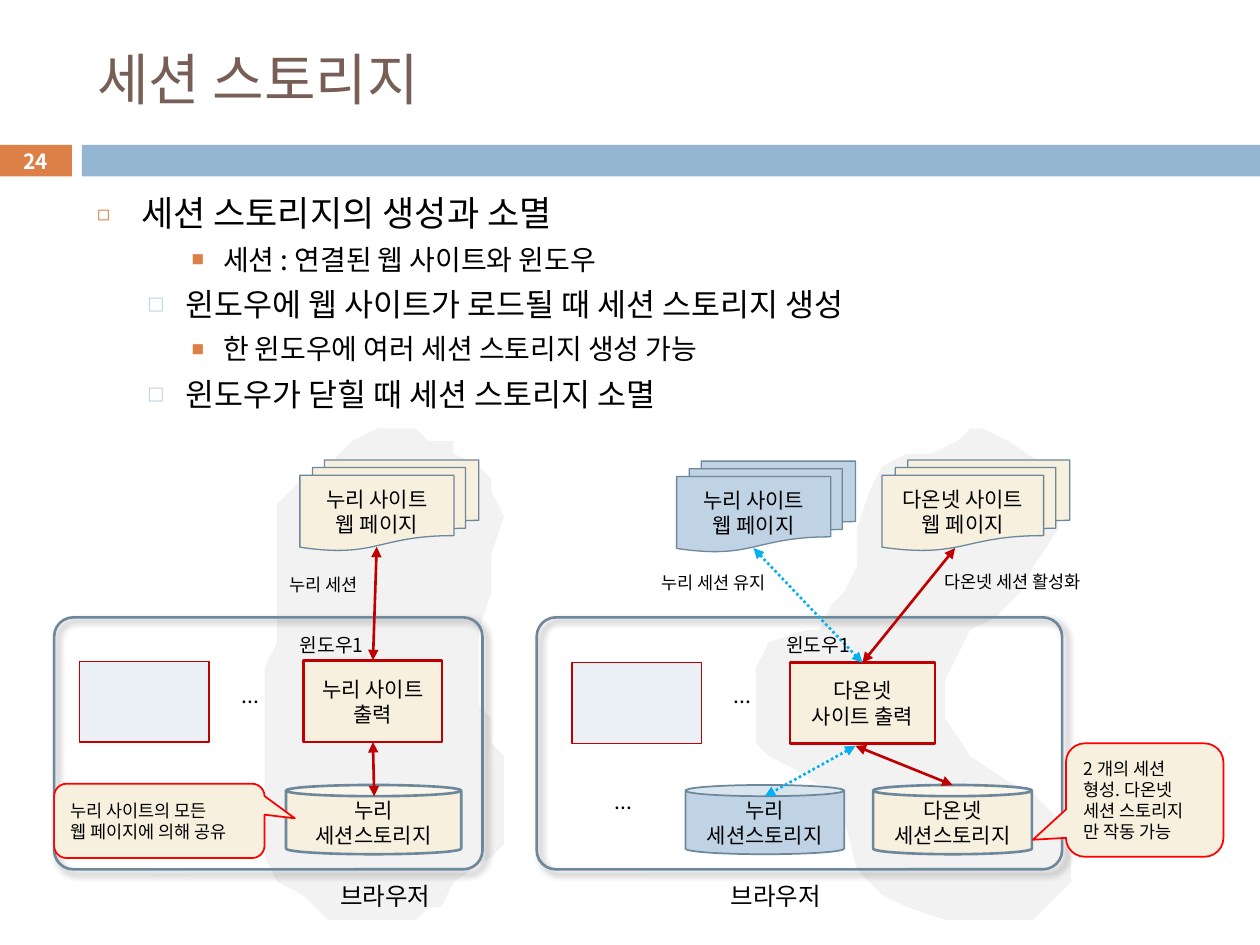
from lxml import etree
from pptx import Presentation
from pptx.dml.color import RGBColor
from pptx.enum.dml import MSO_LINE
from pptx.enum.shapes import MSO_CONNECTOR, MSO_SHAPE
from pptx.enum.text import MSO_ANCHOR, MSO_AUTO_SIZE, PP_ALIGN
from pptx.oxml.ns import qn
from pptx.util import Inches, Pt

CELL = Inches(0.1)
FONT = "Noto Sans CJK KR"
LEFT, CENTER = PP_ALIGN.LEFT, PP_ALIGN.CENTER
TOP, MIDDLE = MSO_ANCHOR.TOP, MSO_ANCHOR.MIDDLE
RECT, ROUND_RECT = MSO_SHAPE.RECTANGLE, MSO_SHAPE.ROUNDED_RECTANGLE
CAN, PAGES = MSO_SHAPE.CAN, MSO_SHAPE.FLOWCHART_MULTIDOCUMENT
CALLOUT = MSO_SHAPE.ROUNDED_RECTANGULAR_CALLOUT
STRAIGHT, DOTTED = MSO_CONNECTOR.STRAIGHT, MSO_LINE.ROUND_DOT
FIXED = MSO_AUTO_SIZE.NONE
TOP_SIDE, BOTTOM_SIDE = 0, 2

ORANGE, SKY, BROWN = "DD8047", "94B6D2", "775F55"
CREAM, BLUE, PALE, GRAY = "F7F0DE", "BFD3E4", "EAF0F6", "F2F2F2"
SLATE, DARK_RED, RED, CYAN = "6D879B", "C00000", "FF0000", "00B0F0"

LEVELS = [
    dict(size=20, margin=0.35, indent=-0.35, before=7, mark="◻", color=ORANGE, percent=60),
    dict(size=18, margin=0.7, indent=-0.3, before=5.5, mark="□", color=SKY, percent=54),
    dict(size=16, margin=1, indent=-0.25, before=5, mark="■", color=ORANGE, percent=45),
]
BULLETS = [
    (0, "세션 스토리지의 생성과 소멸"),
    (2, "세션 : 연결된 웹 사이트와 윈도우"),
    (1, "윈도우에 웹 사이트가 로드될 때 세션 스토리지 생성"),
    (2, "한 윈도우에 여러 세션 스토리지 생성 가능"),
    (1, "윈도우가 닫힐 때 세션 스토리지 소멸"),
]
LEFT_BLOB = [
    (27.6, 34.9), (25.6, 36.6), (24.1, 38.1), (22.3, 40.1), (21.7, 41.6),
    (22, 48.3), (21.9, 51), (21.3, 53.3), (21, 60.4), (20.8, 64.7),
    (21.1, 68.3), (22.2, 70.2), (23.9, 71.3), (26.2, 72.6), (30, 73.2),
    (33.4, 73), (34.3, 72), (35.2, 71.6), (36.5, 69.9), (38.9, 68),
    (39.5, 67.1), (39.8, 66.2), (39.5, 60), (39, 58.7), (38.6, 57.3),
    (38, 55.7), (38.1, 49.9), (38.6, 47.2), (39, 44.1), (39.6, 41),
    (39.3, 39.1), (38.6, 37.9), (37.5, 36.9), (36.1, 35.5), (35.6, 35.1),
    (34.4, 34.6), (33.3, 34.4), (29.9, 34.5),
]
RIGHT_BLOB = [
    (76.8, 34.4), (75.5, 35), (74.4, 35.6), (72.1, 36.4), (70.3, 37.4),
    (68.7, 39.1), (68.3, 41.5), (67.9, 45), (66.6, 46.7), (65.8, 48.2),
    (64.8, 49.5), (63.7, 50.5), (61, 51), (60, 52.7), (59.7, 55),
    (59.8, 58.9), (60.8, 59.9), (63, 60.7), (66, 62.7), (67.2, 64.6),
    (68, 68.9), (69.8, 70.9), (72.2, 72), (75.1, 72.6), (78, 72.8),
    (81.6, 72.6), (83.5, 71), (85.1, 69.5), (85.1, 67.5), (84.4, 66.3),
    (83.5, 65.3), (81.9, 63.3), (79.6, 61.6), (76.9, 59.8), (75.4, 56.7),
    (75.4, 53.5), (76.8, 50.5), (78.6, 49), (80.7, 47), (82.3, 44.8),
    (84, 42.2), (83.9, 37.8), (82.8, 36.8), (80.1, 35), (77.8, 34.4),
]


def color_of(value):
    """Turn a hex string into a colour."""
    return RGBColor.from_string(value)


def cells(*lengths):
    """Turn columns and rows of the grid into lengths."""
    return [int(length * CELL) for length in lengths]


def add_child(parent, tag, **attributes):
    """Append a drawing element with its attributes."""
    child = etree.SubElement(parent, qn(tag))
    for name, value in attributes.items():
        child.set(name, str(value))
    return child


def add_text(paragraph, text, size=12, color="000000", bold=False, align=LEFT, before=0):
    """Add one formatted run to a paragraph."""
    paragraph.alignment = align
    paragraph.space_before, paragraph.space_after = Pt(before), Pt(0)
    run = paragraph.add_run()
    run.text = text
    font = run.font
    font.size, font.bold, font.name = Pt(size), bold, FONT
    font.color.rgb = color_of(color)
    add_child(font._element, "a:ea", typeface=FONT)


def fill_text(shape, text, anchor=MIDDLE, wrap=True, **text_format):
    """Write each line of the text as a paragraph of the shape."""
    frame = shape.text_frame
    frame.auto_size, frame.word_wrap, frame.vertical_anchor = FIXED, wrap, anchor
    for index, line in enumerate(text.split("\n")):
        paragraph = frame.add_paragraph() if index else frame.paragraphs[0]
        add_text(paragraph, line, **text_format)


def paint(shape, fill=None, line=None, width=1):
    """Set the fill and outline and take the shadow away."""
    shape.shadow.inherit = False
    if fill:
        shape.fill.solid()
        shape.fill.fore_color.rgb = color_of(fill)
    else:
        shape.fill.background()
    if line:
        shape.line.color.rgb = color_of(line)
        shape.line.width = Pt(width)
    else:
        shape.line.fill.background()


def add_box(slide, kind, area, text="", adjust=(), fill=None, line=None, width=1, **text_format):
    """Add a preset shape, with its text if it has any."""
    shape = slide.shapes.add_shape(kind, *cells(*area))
    paint(shape, fill, line, width)
    for index, value in enumerate(adjust):
        shape.adjustments[index] = value
    if text:
        fill_text(shape, text, **text_format)
    return shape


def add_label(slide, area, text, **text_format):
    """Add a text box."""
    fill_text(slide.shapes.add_textbox(*cells(*area)), text, **text_format)


def add_blob(slide, points):
    """Add a gray background area through the points."""
    builder = slide.shapes.build_freeform(*points[0], scale=CELL)
    builder.add_line_segments(points[1:], close=True)
    paint(builder.convert_to_shape(), GRAY)


def add_browser(slide, left, width):
    """Add a browser frame with a soft shadow."""
    shape = add_box(slide, ROUND_RECT, (left, 49, width, 20), adjust=[0.076], line=SLATE, width=1.5)
    effects = shape._element.spPr.find(qn("a:effectLst"))
    shadow = add_child(effects, "a:outerShdw", blurRad=Pt(4), dist=Pt(3), dir=45 * 60000)
    add_child(add_child(shadow, "a:srgbClr", val="000000"), "a:alpha", val=40000)


def add_arrow(slide, start, end, color=DARK_RED, dash=None, begin=None, finish=None):
    """Add a two-headed arrow, joined to any (shape, side) given."""
    arrow = slide.shapes.add_connector(STRAIGHT, *cells(*start, *end))
    if begin:
        arrow.begin_connect(*begin)
    if finish:
        arrow.end_connect(*finish)
    arrow.line.color.rgb = color_of(color)
    arrow.line.width = Pt(1.5)
    if dash:
        arrow.line.dash_style = dash
    properties = arrow._element.spPr
    for tag in ("a:headEnd", "a:tailEnd"):
        add_child(properties.find(qn("a:ln")), tag, type="triangle")
    add_child(properties, "a:effectLst")


def add_bullet(paragraph, text, first, size, margin, indent, before, mark, color, percent):
    """Write one list item with its own bullet."""
    properties = paragraph._p.get_or_add_pPr()
    properties.set("marL", str(Inches(margin)))
    properties.set("indent", str(Inches(indent)))
    add_child(add_child(properties, "a:buClr"), "a:srgbClr", val=color)
    add_child(properties, "a:buSzPct", val=percent * 1000)
    add_child(properties, "a:buFont", typeface=FONT)
    add_child(properties, "a:buChar", char=mark)
    add_text(paragraph, text, size=size, before=0 if first else before)


def add_heading(slide):
    """Fill the title and the list and add the numbered band."""
    add_box(slide, RECT, (-0.1, 11.5, 5.8, 2.5), "24", fill=ORANGE, size=11.9, color="FFFFFF", bold=True, align=CENTER)
    add_box(slide, RECT, (6.5, 11.5, 93.5, 2.5), fill=SKY)
    title, body = slide.placeholders
    title.left, title.top, title.width, title.height = cells(6.7, 2.5, 89.2, 7.4)
    fill_text(title, "세션 스토리지", size=32, color=BROWN)
    body.left, body.top, body.width, body.height = cells(6.7, 14.7, 89.2, 55.1)
    frame = body.text_frame
    frame.auto_size, frame.vertical_anchor = FIXED, TOP
    for index, (level, text) in enumerate(BULLETS):
        paragraph = frame.add_paragraph() if index else frame.paragraphs[0]
        paragraph.level = level
        add_bullet(paragraph, text, index == 0, **LEVELS[level])


def add_diagram(slide):
    """Draw both browsers with their sites, windows and storages."""
    for points in (LEFT_BLOB, RIGHT_BLOB):
        add_blob(slide, points)
    for left, width in ((4.3, 34), (42.6, 41.7)):
        add_browser(slide, left, width)
    for left, top in ((6.3, 52.5), (45.4, 52.6)):
        add_box(slide, RECT, (left, top, 10.3, 6.4), fill=PALE, line=DARK_RED, width=0.75)
    for left, top in ((17.3, 51.3), (56.3, 51.3), (8.5, 60), (46.9, 59.7)):
        add_label(slide, (left, top, 5.2, 7.7), "...", align=CENTER)

    window = dict(fill=CREAM, line=DARK_RED, width=1.5, align=CENTER)
    nuri = add_box(slide, RECT, (24.1, 52.4, 11, 6.5), "누리 사이트\n출력", **window)
    daon = add_box(slide, RECT, (62.7, 52.6, 11.5, 6.4), "다온넷\n사이트 출력", **window)
    for left, width, name, fill, line in (
        (22.7, 13.9, "누리", CREAM, 1.5), (54.4, 12.6, "누리", BLUE, 1), (69.3, 12.6, "다온넷", CREAM, 1.5),
    ):
        add_box(slide, CAN, (left, 62.3, width, 5.5), f"{name}\n세션스토리지", [0.162],
                fill=fill, line=SLATE, width=line, align=CENTER)
    for left, top, width, name, fill in (
        (23.8, 36.5, 14.2, "누리", CREAM), (53.7, 36.6, 14.2, "누리", BLUE), (70, 36.5, 14.9, "다온넷", CREAM),
    ):
        add_box(slide, PAGES, (left, top, width, 7.2), f"{name} 사이트\n웹 페이지",
                fill=fill, line=SLATE, width=0.75, align=CENTER)

    add_arrow(slide, (29.9, 43.4), (29.6, 52.4), finish=(nuri, TOP_SIDE))
    add_arrow(slide, (29.6, 58.9), (29.7, 63.2), begin=(nuri, BOTTOM_SIDE))
    add_arrow(slide, (59.8, 43.5), (68.5, 52.6), CYAN, DOTTED, finish=(daon, TOP_SIDE))
    add_arrow(slide, (75.8, 43.5), (68.5, 52.6), finish=(daon, TOP_SIDE))
    add_arrow(slide, (67.9, 59.2), (60.7, 63.2), CYAN, DOTTED)
    add_arrow(slide, (67.9, 59.2), (75.6, 62.3))

    for area, text in (
        ((21.6, 45.1, 8.1, 2.7), "누리 세션"),
        ((50.9, 44.9, 11.4, 2.7), "누리 세션 유지"),
        ((73, 44.8, 14.7, 2.7), "다온넷 세션 활성화"),
    ):
        add_label(slide, area, text, anchor=TOP, wrap=False, size=10, align=CENTER)
    for window_left, browser_left in ((22.8, 26), (61.4, 57)):
        add_label(slide, (window_left, 49.8, 7.5, 2.9), "윈도우1", anchor=TOP, wrap=False, size=11)
        add_label(slide, (browser_left, 69.4, 9.9, 3.4), "브라우저", anchor=TOP, wrap=False, size=14)

    note = dict(fill=CREAM, line=RED, size=10)
    add_box(slide, CALLOUT, (4.3, 62.2, 16.7, 5.9), "누리 사이트의 모든\n웹 페이지에 의해 공유", [0.644, -0.035, 0.167], **note)
    status = add_box(slide, CALLOUT, (84.6, 59, 12.5, 9), "2 개의 세션 형성. 다온넷 세션 스토리지 만 작동 가능",
                     [-0.71, 0.35, 0.167], **note)
    status.text_frame.margin_right = Inches(0.15)


def main():
    """Build and save the slide."""
    presentation = Presentation()
    presentation.slide_width, presentation.slide_height = Inches(10), Inches(7.5)
    slide = presentation.slides.add_slide(presentation.slide_layouts[1])
    add_heading(slide)
    add_diagram(slide)
    presentation.save("out.pptx")


if __name__ == "__main__":
    main()
